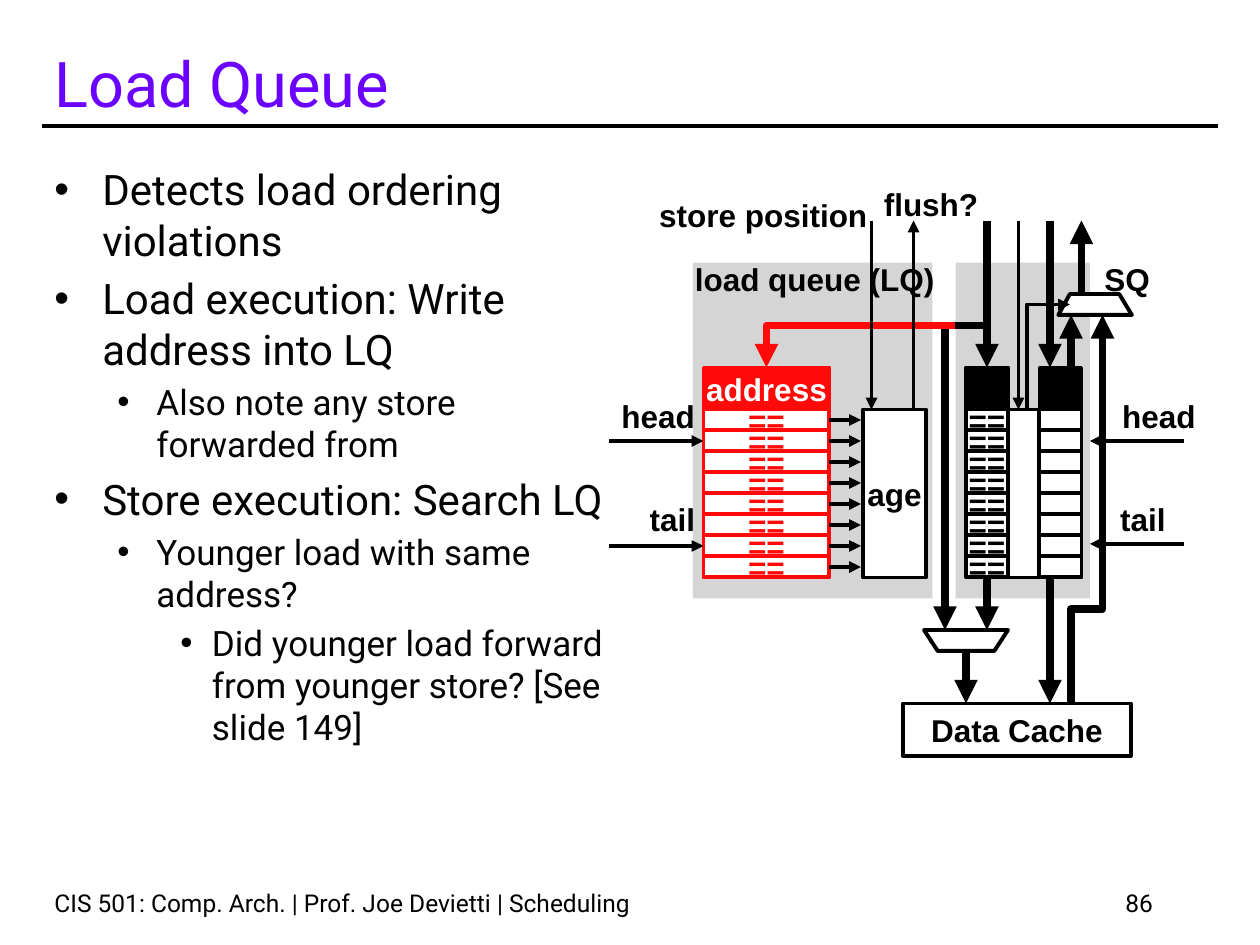
from dataclasses import dataclass
from typing import Any

from lxml.etree import SubElement
from pptx import Presentation
from pptx.dml.color import RGBColor
from pptx.enum.shapes import MSO_CONNECTOR, MSO_SHAPE
from pptx.enum.text import MSO_ANCHOR, MSO_AUTO_SIZE, PP_ALIGN
from pptx.oxml.ns import qn
from pptx.util import Inches, Pt

UNITS_PER_INCH = 12
BLACK, WHITE, RED, GREY, INK, VIOLET = "000000", "FFFFFF", "FF0909", "D5D5D5", "030305", "6B02FF"
THIN, THICK = 2.25, 4.5
TOP, LEFT, BOTTOM, RIGHT = range(4)
DIAGRAM_FONT = {"name": "Arial", "size": Pt(18), "bold": True}
CELL_FRAME = {"word_wrap": False, "vertical_anchor": MSO_ANCHOR.MIDDLE}
LABEL_FRAME = {"word_wrap": False, "auto_size": MSO_AUTO_SIZE.SHAPE_TO_FIT_TEXT}
PLACED_FRAME = {"word_wrap": True, "vertical_anchor": MSO_ANCHOR.BOTTOM}
LEVELS = [(24, 0.38, 0.38), (20, 0.81, 0.31), (20, 1.25, 0.25)]
BULLETS = [
    (0, "Detects load ordering violations"),
    (0, "Load execution: Write address into LQ"),
    (1, "Also note any store forwarded from"),
    (0, "Store execution: Search LQ"),
    (1, "Younger load with same address?"),
    (2, "Did younger load forward from younger store? [See slide 149]"),
]


def color(value):
    """Turn a hex string into a colour."""
    return RGBColor.from_string(value)


def grid(value):
    """Turn grid units into a length."""
    return Inches(value / UNITS_PER_INCH)


def apply(target, values):
    """Set each attribute in values on the target."""
    for name, value in values.items():
        setattr(target, name, value)


def set_line(line, width, tint, arrow=False):
    """Style a line and give it an arrowhead at its end if asked."""
    line.width = Pt(width)
    line.fill.solid()
    line.fill.fore_color.rgb = color(tint)
    if arrow:
        SubElement(line._get_or_add_ln(), qn("a:tailEnd"), type="triangle")


def write(paragraph, text, font, tint):
    """Fill a paragraph with one styled run."""
    run = paragraph.add_run()
    run.text = text
    apply(run.font, font)
    run.font.color.rgb = color(tint)


@dataclass
class Region:
    """A box on the slide whose parts are placed from its corner in grid units."""

    slide: Any
    left: float
    top: float

    def place(self, column, row):
        """Return the slide position of a grid point of this region."""
        return grid(self.left + column), grid(self.top + row)

    def box(self, column, row, width, height, fill=None, outline=BLACK, text="", tint=BLACK):
        """Add a rectangle with optional centred text."""
        shape = self.slide.shapes.add_shape(
            MSO_SHAPE.RECTANGLE, *self.place(column, row), grid(width), grid(height))
        shape.shadow.inherit = False
        if fill:
            shape.fill.solid()
            shape.fill.fore_color.rgb = color(fill)
        else:
            shape.fill.background()
        if outline:
            set_line(shape.line, THIN, outline)
        else:
            shape.line.fill.background()
        if text:
            apply(shape.text_frame, CELL_FRAME)
            paragraph = shape.text_frame.paragraphs[0]
            paragraph.alignment = PP_ALIGN.CENTER
            write(paragraph, text, DIAGRAM_FONT, tint)
        return shape

    def label(self, column, row, width, text, height=4.8, font=DIAGRAM_FONT, tint=BLACK,
              frame=LABEL_FRAME, alignment=PP_ALIGN.LEFT):
        """Add a text box holding one line."""
        shape = self.slide.shapes.add_textbox(*self.place(column, row), grid(width), grid(height))
        apply(shape.text_frame, frame)
        paragraph = shape.text_frame.paragraphs[0]
        paragraph.alignment = alignment
        write(paragraph, text, font, tint)

    def line(self, start, end, width=THIN, arrow=True, begin=None, finish=None):
        """Add a straight line, joined to a shape's side where one is given."""
        connector = self.slide.shapes.add_connector(
            MSO_CONNECTOR.STRAIGHT, *self.place(*start), *self.place(*end))
        if begin:
            connector.begin_connect(*begin)
        if finish:
            connector.end_connect(*finish)
        set_line(connector.line, width, BLACK, arrow)
        SubElement(connector._element.spPr, qn("a:effectLst"))

    def outline(self, points, width=THIN, tint=BLACK, closed=False):
        """Add a closed white outline or an open route with an arrowhead."""
        corners = [self.place(*point) for point in points]
        builder = self.slide.shapes.build_freeform(*corners[0])
        builder.add_line_segments(corners[1:], close=closed)
        shape = builder.convert_to_shape()
        shape.shadow.inherit = False
        if closed:
            shape.fill.solid()
            shape.fill.fore_color.rgb = color(WHITE)
        else:
            shape.fill.background()
        set_line(shape.line, width, tint, arrow=not closed)

    def column(self, column, row, width, tint, title="", entry=""):
        """Add a header and eight entries, and return them in order."""
        header = self.box(column, row, width, 4, tint, tint, title, WHITE)
        return [header] + [
            self.box(column, row + 4 + 2 * index, width, 2, WHITE, tint, entry, tint)
            for index in range(8)]


def add_frame(region):
    """Place the title, the rule below it and the footer."""
    footer = {"name": "Roboto", "size": Pt(14)}
    region.line((0, 9), (112, 9), arrow=False)
    region.label(0, 0, 105, "Load Queue", 9, {"name": "Roboto", "size": Pt(36)}, VIOLET, PLACED_FRAME)
    region.label(0, 81, 75, "CIS 501: Comp. Arch. | Prof. Joe Devietti | Scheduling", 4,
                 footer, frame=PLACED_FRAME)
    region.label(82, 81, 25, "86", 4, footer, frame=PLACED_FRAME, alignment=PP_ALIGN.RIGHT)


def add_bullets(region, width, height):
    """Place the bulleted text."""
    shape = region.slide.shapes.add_textbox(*region.place(0, 0), grid(width), grid(height))
    frame = shape.text_frame
    frame.word_wrap = True
    for index, (level, text) in enumerate(BULLETS):
        size, margin, hanging = LEVELS[level]
        paragraph = frame.add_paragraph() if index else frame.paragraphs[0]
        paragraph.level = level
        paragraph.space_before = Pt(size * 0.2 if index else 0)
        properties = paragraph._p.get_or_add_pPr()
        properties.set("marL", str(Inches(margin)))
        properties.set("indent", str(-Inches(hanging)))
        tint = SubElement(properties, qn("a:buClr"))
        SubElement(tint, qn("a:srgbClr"), val=INK)
        SubElement(properties, qn("a:buFont"), typeface="Arial")
        SubElement(properties, qn("a:buChar"), char="•")
        write(paragraph, text, {"name": "Roboto", "size": Pt(size)}, INK)


def add_store_queue(region):
    """Place the store queue with its ports and pointers."""
    region.box(3, 4, 12.8, 32, GREY, None)
    region.column(11, 14, 4, BLACK)
    addresses = region.column(4, 14, 4, BLACK, entry="==")
    region.box(8, 18, 3, 16, WHITE)
    region.outline([(12.8, 9), (19.8, 9), (18.6, 7), (13.9, 7)], closed=True)
    region.line((6, 34), (6, 39), THICK, begin=(addresses[-1], BOTTOM))
    region.line((6, 0), (6, 14), THICK, finish=(addresses[0], TOP))
    region.line((9, 0), (9, 18))
    for column, start, end in [(12, 0, 14), (14, 14, 9), (15, 7, 0)]:
        region.line((column, start), (column, end), THICK)
    for row in (21, 30.8):
        region.line((24.8, row), (15.8, row))
    region.outline([(9.8, 18), (9.8, 8), (13.9, 8)])
    region.label(17.7, 16.2, 9.5, "head")
    region.label(17.5, 26, 6.8, "tail")
    region.label(16, 3.2, 6.7, "SQ")


def add_data_cache(region):
    """Place the data cache, its selector and the routes to it."""
    region.box(0, 37, 21.7, 5, text="Data Cache")
    region.outline([(2, 30), (10, 30), (8.7, 32), (3.3, 32)], closed=True)
    region.line((6, 32), (6, 37), THICK)
    region.line((14, 25), (14, 37), THICK)
    region.outline([(8, 1), (4, 1), (4, 30)], THICK)
    region.outline([(16, 37), (16, 28), (19, 28), (19, 0)], THICK)


def add_load_queue(region):
    """Place the load queue with its age logic and pointers."""
    region.box(8, 8, 22.8, 32, GREY, None)
    region.label(7, 7.2, 25.4, "load queue (LQ)")
    addresses = region.column(9, 18, 12, RED, "address", "==")
    region.box(24.2, 22, 6, 16, WHITE, text="age")
    for index, entry in enumerate(addresses[1:]):
        row = 23 + 2 * index
        region.line((21, row), (24, row), begin=(entry, RIGHT))
    for position, row in [(2, 25), (7, 35)]:
        region.line((0, row), (9, row), finish=(addresses[position], LEFT))
    region.outline([(33, 14), (15, 14), (15, 18)], THICK, RED)
    region.line((25, 4), (25, 22))
    region.line((29, 22), (29, 4))
    region.label(2.7, 30, 6.8, "tail")
    region.label(0, 20.2, 9.5, "head")
    region.label(3.6, 1.1, 22.4, "store position")
    region.label(25, 0, 11.5, "flush?")


def main():
    """Build the slide and save it."""
    presentation = Presentation()
    apply(presentation, {"slide_width": Inches(10), "slide_height": Inches(7.5)})
    slide = presentation.slides.add_slide(presentation.slide_layouts[6])
    add_frame(Region(slide, 4, 3))
    add_bullets(Region(slide, 4, 15), 56, 67)
    add_store_queue(Region(slide, 88, 21))
    add_data_cache(Region(slide, 86, 30))
    add_load_queue(Region(slide, 58, 17))
    presentation.save("out.pptx")


if __name__ == "__main__":
    main()
